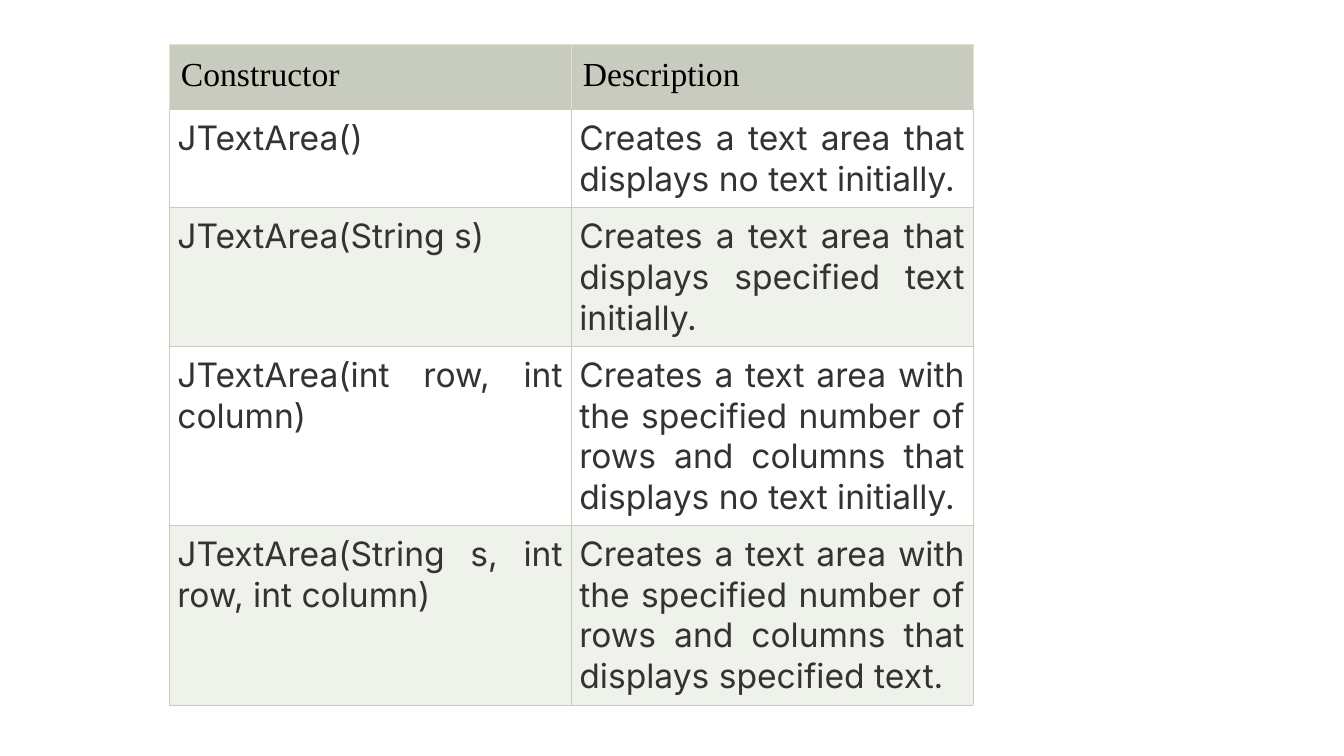
from lxml import etree
from pptx import Presentation
from pptx import util as u
from pptx.dml.color import RGBColor
from pptx.enum import text
from pptx.oxml.ns import qn

HEADER = ("Constructor", "Description")
CONSTRUCTORS = [
    ("JTextArea()", "Creates a text area that displays no text initially."),
    ("JTextArea(String s)",
     "Creates a text area that displays specified text initially."),
    ("JTextArea(int row, int column)",
     "Creates a text area with the specified number of rows and columns "
     "that displays no text initially."),
    ("JTextArea(String s, int row, int column)",
     "Creates a text area with the specified number of rows and columns "
     "that displays specified text."),
]
LEFT, TOP, COL_WIDTH = 4.26, 1.12, 10.13
ROW_HEIGHTS = (1.65, 2.45, 3.48, 4.48, 4.48)
SAGE, SAND = "C7CCBE", "E8DECC"
BANDS = ("FFFFFF", "EFF1EB")
HEAD_STYLE = dict(font="Times New Roman", color="000000", inset=0.3,
                  edges=(SAND, SAND, SAND, SAGE))
BODY_STYLE = dict(font="Inter", color="333333", inset=0.21,
                  edges=(SAGE,) * 4, align=text.PP_ALIGN.JUSTIFY)


def rgb(value):
    return RGBColor.from_string(value)


def set_borders(cell, edges):
    tc_pr = cell._tc.get_or_add_tcPr()
    for i, (side, color) in enumerate(zip("LRTB", edges)):
        ln = etree.Element(qn(f"a:ln{side}"), w=str(u.Pt(0.75)))
        solid = etree.SubElement(ln, qn("a:solidFill"))
        etree.SubElement(solid, qn("a:srgbClr"), val=color)
        tc_pr.insert(i, ln)


def write_cell(cell, words, *, fill, font, color, inset, edges, size=24,
               align=text.PP_ALIGN.LEFT):
    cell.margin_left = cell.margin_right = u.Cm(inset)
    cell.margin_top = cell.margin_bottom = u.Cm(inset)
    cell.vertical_anchor = text.MSO_ANCHOR.TOP
    cell.fill.solid()
    cell.fill.fore_color.rgb = rgb(fill)
    set_borders(cell, edges)
    p = cell.text_frame.paragraphs[0]
    p.alignment = align
    r = p.add_run()
    r.text = words
    r.font.name = font
    r.font.size = u.Pt(size)
    r.font.bold = False
    r.font.color.rgb = rgb(color)


def main():
    """Build the slide with the table of JTextArea constructors."""
    prs = Presentation()
    prs.slide_width, prs.slide_height = u.Cm(33.87), u.Cm(19.05)
    s = prs.slides.add_slide(prs.slide_layouts[6])
    rows = [HEADER] + CONSTRUCTORS
    table = s.shapes.add_table(
        len(rows), len(HEADER), u.Cm(LEFT), u.Cm(TOP),
        u.Cm(COL_WIDTH * len(HEADER)), u.Cm(sum(ROW_HEIGHTS))).table
    for col in table.columns:
        col.width = u.Cm(COL_WIDTH)
    for i, (words, height) in enumerate(zip(rows, ROW_HEIGHTS)):
        table.rows[i].height = u.Cm(height)
        style = BODY_STYLE if i else HEAD_STYLE
        fill = BANDS[(i - 1) % 2] if i else SAGE
        for j, value in enumerate(words):
            write_cell(table.cell(i, j), value, fill=fill, **style)
    prs.save("out.pptx")


if __name__ == "__main__":
    main()
